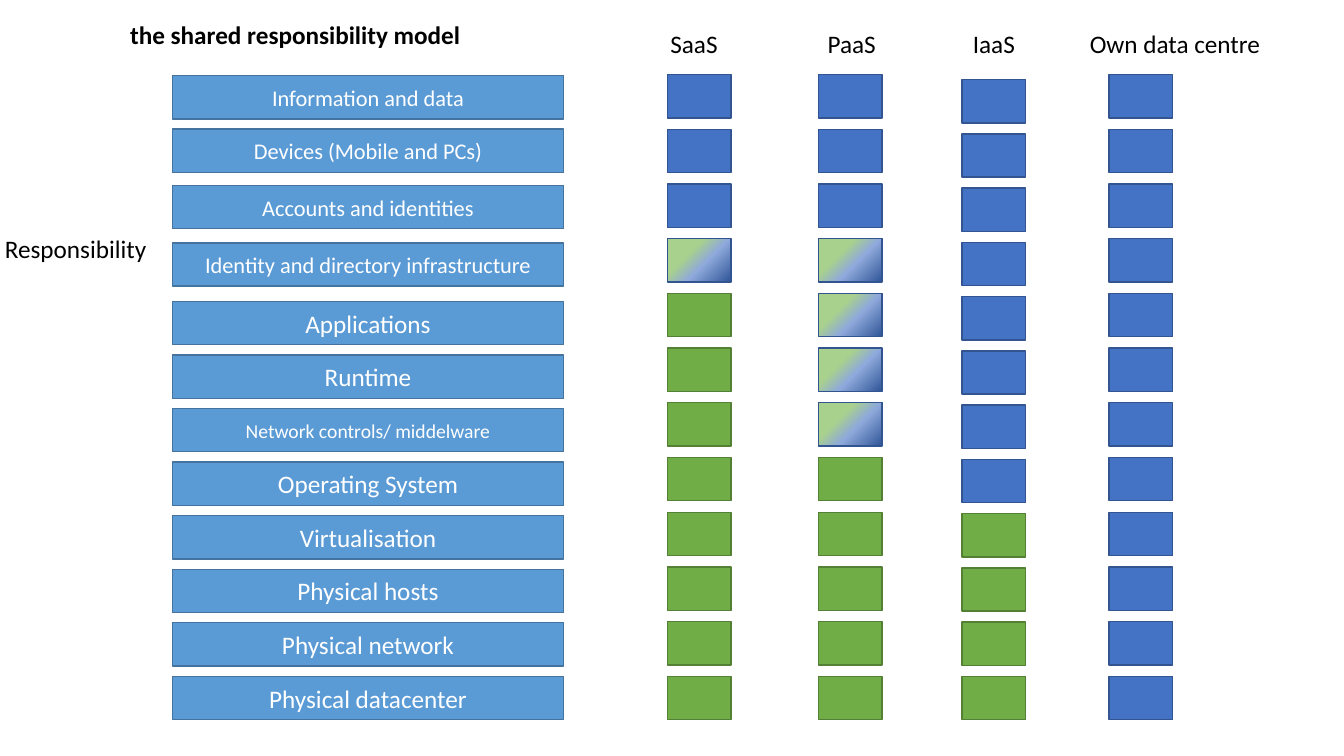
"""Build a slide showing the shared responsibility model for cloud services."""
from lxml import etree
from pptx import Presentation
from pptx.dml.color import RGBColor
from pptx.enum.shapes import MSO_SHAPE
from pptx.enum.text import MSO_ANCHOR, MSO_AUTO_SIZE, PP_ALIGN
from pptx.oxml.ns import qn
from pptx.util import Inches, Pt

RECTANGLE = MSO_SHAPE.RECTANGLE
LEFT, CENTER = PP_ALIGN.LEFT, PP_ALIGN.CENTER
TOP, MIDDLE = MSO_ANCHOR.TOP, MSO_ANCHOR.MIDDLE
FIT_SHAPE, NO_FIT = MSO_AUTO_SIZE.SHAPE_TO_FIT_TEXT, MSO_AUTO_SIZE.NONE

TITLE = "the shared responsibility model"
SIDE_LABEL = "Responsibility"
LAYERS = [
    ("Information and data", 16),
    ("Devices (Mobile and PCs)", 16),
    ("Accounts and identities", 16),
    ("Identity and directory infrastructure", 16),
    ("Applications", 18),
    ("Runtime", 18),
    ("Network controls/ middelware", 14),
    ("Operating System", 18),
    ("Virtualisation", 18),
    ("Physical hosts", 18),
    ("Physical network", 18),
    ("Physical datacenter", 18),
]
UPPER_LAYER_TOPS = [0.75, 1.28, 1.84, 2.41]
LOWER_LAYERS_TOP = 2.99
LAST_TOP = 6.71
BOX_HEIGHT = 0.43

# Each service: label, label left, label width, cell left, first cell top, owners.
SERVICES = [
    ("SaaS", 6.55, 0.68, 6.62, 0.74, ["customer"] * 3 + ["shared"] + ["provider"] * 8),
    ("PaaS", 8.11, 0.68, 8.12, 0.74, ["customer"] * 3 + ["shared"] * 4 + ["provider"] * 5),
    ("IaaS", 9.55, 0.62, 9.54, 0.79, ["customer"] * 8 + ["provider"] * 4),
    ("Own data centre", 10.71, 1.91, 11, 0.74, ["customer"] * 12),
]
OWNER_COLORS = {
    "customer": ("4472C4", "325491"),
    "provider": ("70AD47", "538035"),
    "shared": (None, "325491"),
}
SHARED_STOPS = [(0, "2F5597"), (42, "8FAADC"), (66, "A9D18E"), (100, "A9D18E")]


def color(value):
    return RGBColor.from_string(value)


def write_text(shape, text, size=18, ink="000000", bold=False, align=LEFT,
               anchor=TOP, wrap=True, fit=FIT_SHAPE):
    frame = shape.text_frame
    frame.word_wrap = wrap
    frame.auto_size = fit
    frame.vertical_anchor = anchor
    paragraph = frame.paragraphs[0]
    paragraph.alignment = align
    run = paragraph.add_run()
    run.text = text
    run.font.name = "Calibri"
    run.font.size = Pt(size)
    run.font.bold = bold
    run.font.color.rgb = color(ink)


def fill_shared(shape):
    shape.fill.gradient()
    shape.fill.gradient_angle = 135
    stops = shape.element.spPr.find(qn("a:gradFill")).find(qn("a:gsLst"))
    for stop in list(stops):
        stops.remove(stop)
    for position, value in SHARED_STOPS:
        stop = etree.SubElement(stops, qn("a:gs"), pos=str(position * 1000))
        etree.SubElement(stop, qn("a:srgbClr"), val=value)


def add_box(slide, left, top, width, fill, outline):
    shape = slide.shapes.add_shape(
        RECTANGLE, Inches(left), Inches(top), Inches(width), Inches(BOX_HEIGHT))
    shape.shadow.inherit = False
    if fill:
        shape.fill.solid()
        shape.fill.fore_color.rgb = color(fill)
    else:
        fill_shared(shape)
    shape.line.color.rgb = color(outline)
    shape.line.width = Pt(1)
    return shape


def add_label(slide, text, left, top, width):
    box = slide.shapes.add_textbox(Inches(left), Inches(top), Inches(width), Inches(0.4))
    write_text(box, text, wrap=False)


def spread(first, last, count):
    return [first + (last - first) * index / (count - 1) for index in range(count)]


def main():
    presentation = Presentation()
    presentation.slide_width = Inches(13.33)
    presentation.slide_height = Inches(7.5)
    slide = presentation.slides.add_slide(presentation.slide_layouts[5])

    title = slide.shapes.title
    title.left, title.top = Inches(1.19), Inches(0.14)
    title.width, title.height = Inches(6.72), Inches(0.4)
    write_text(title, TITLE, bold=True)
    add_label(slide, SIDE_LABEL, -0.05, 2.27, 1.62)

    lower_count = len(LAYERS) - len(UPPER_LAYER_TOPS)
    layer_tops = UPPER_LAYER_TOPS + spread(LOWER_LAYERS_TOP, LAST_TOP, lower_count)
    for (name, size), top in zip(LAYERS, layer_tops):
        layer = add_box(slide, 1.71, top, 3.88, "5B9BD5", "43739E")
        write_text(layer, name, size=size, ink="FFFFFF", align=CENTER,
                   anchor=MIDDLE, fit=NO_FIT)

    for name, label_left, label_width, left, first_top, owners in SERVICES:
        add_label(slide, name, label_left, 0.23, label_width)
        for owner, top in zip(owners, spread(first_top, LAST_TOP, len(owners))):
            add_box(slide, left, top, 0.63, *OWNER_COLORS[owner])

    presentation.save("out.pptx")


if __name__ == "__main__":
    main()
